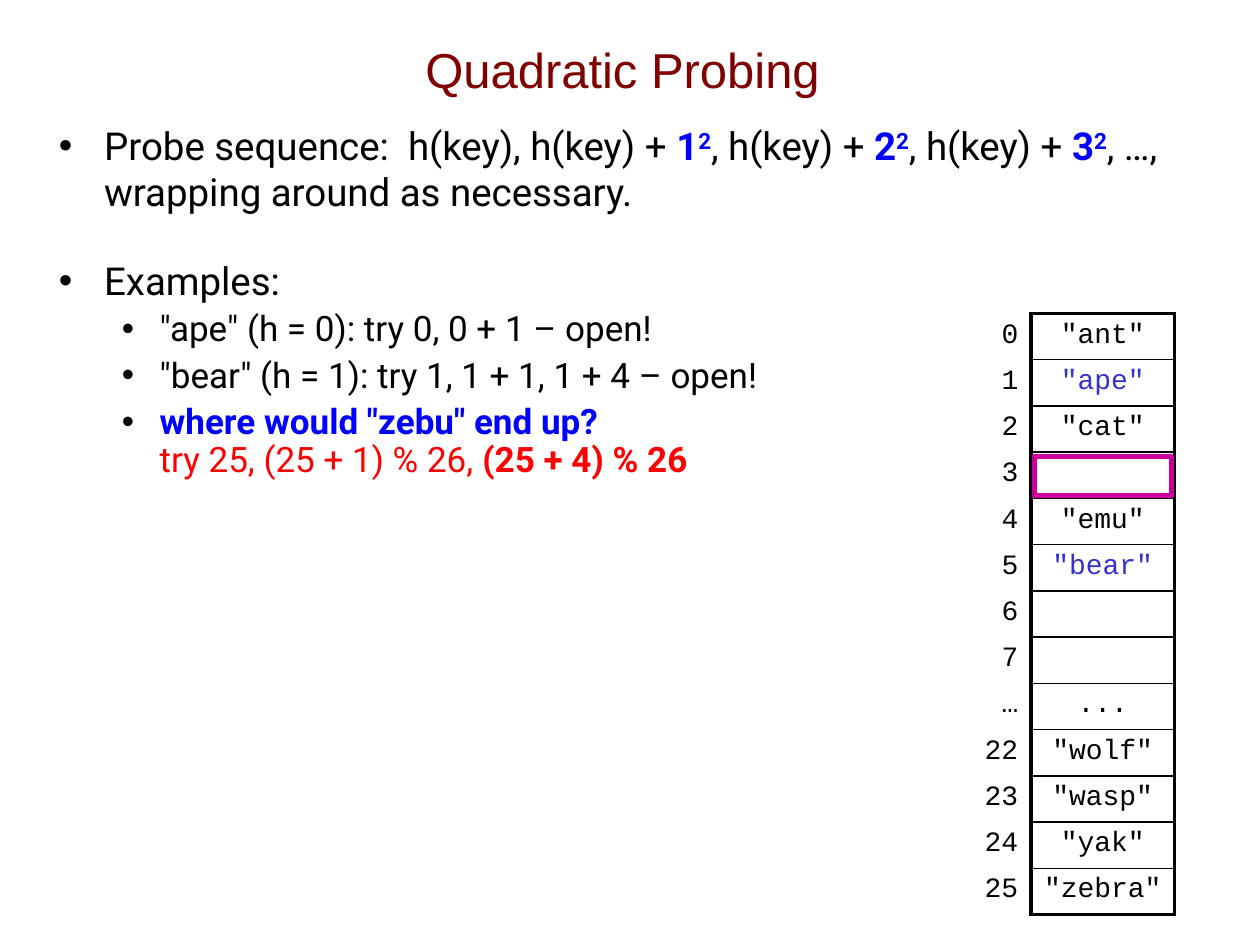
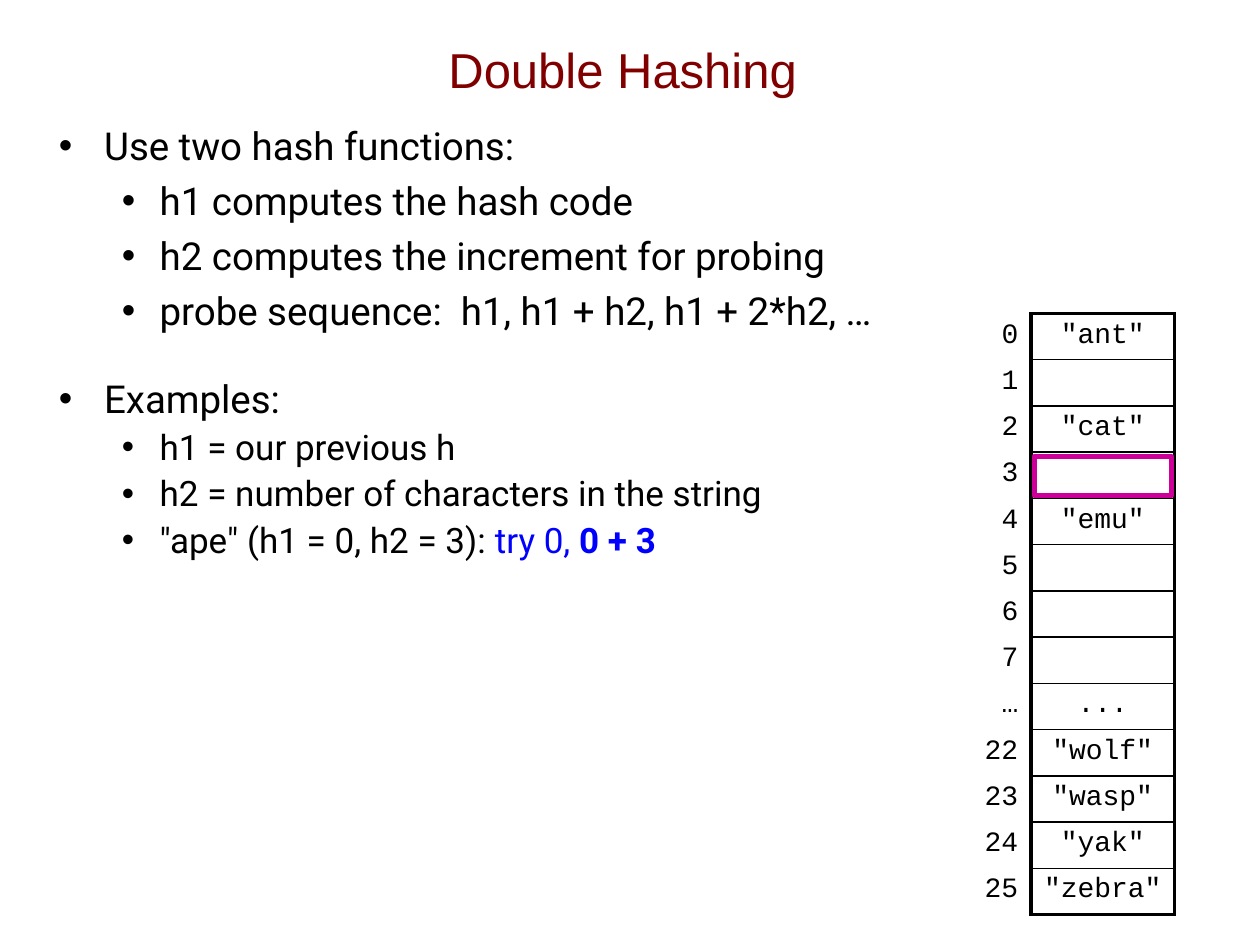
from lxml.etree import SubElement
from pptx import Presentation
from pptx.dml.color import RGBColor
from pptx.enum.shapes import MSO_SHAPE as Shape
from pptx.enum.text import MSO_ANCHOR as Anchor, PP_ALIGN as Align
from pptx.oxml import parse_xml
from pptx.oxml.ns import nsdecls, qn
from pptx.util import Cm, Pt

COLORS = {
    "title": "800000",
    "text": "000000",
    "key": "0000FF",
    "answer": "FF0000",
    "inserted": "3333CC",
    "highlight": "CC0099",
}
TITLE_FONT, BODY_FONT, CODE_FONT = "Arial", "Roboto", "Courier New"
TABLE_LEFT, TABLE_TOP, TABLE_HEIGHT = Cm(17.86), Cm(6.32), Cm(12.12)
INDEX_WIDTH, WORD_WIDTH = Cm(2.92), Cm(2.9)
THICK, THIN = Pt(2.25), Pt(1)
INDICES = ["0", "1", "2", "3", "4", "5", "6", "7", "…", "22", "23", "24", "25"]
WORDS = {
    "0": '"ant"', "2": '"cat"', "4": '"emu"', "…": "...",
    "22": '"wolf"', "23": '"wasp"', "24": '"yak"', "25": '"zebra"',
}
INDENTS = [(Cm(0.91), Cm(0.91)), (Cm(2.03), Cm(0.76))]

KEY = {"color": "key", "bold": True}
SQUARE = {**KEY, "superscript": True}
TOPIC = {"level": 0, "size": 22}
NEXT_TOPIC = {**TOPIC, "before": 24}
POINT = {"level": 1, "size": 22, "before": 5}
EXAMPLE = {"level": 1, "size": 20, "before": 5, "line_spacing": 0.9}

PROBING_TEXT = [
    (TOPIC, [
        ("Probe sequence:  h(key), h(key) + ", {}), ("1", KEY), ("2", SQUARE),
        (", h(key) + ", {}), ("2", KEY), ("2", SQUARE),
        (", h(key) + ", {}), ("3", KEY), ("2", SQUARE),
        (", …,\nwrapping around as necessary.", {}),
    ]),
    (NEXT_TOPIC, [("Examples:", {})]),
    (EXAMPLE, [('"ape" (h = 0): try 0, 0 + 1 – open!', {})]),
    (EXAMPLE, [('"bear" (h = 1): try 1, 1 + 1, 1 + 4 – open!', {})]),
    (EXAMPLE, [
        ('where would "zebu" end up?\n', KEY),
        ("try 25, (25 + 1) % 26, ", {"color": "answer"}),
        ("(25 + 4) % 26", {"color": "answer", "bold": True}),
    ]),
]
HASHING_TEXT = [
    (TOPIC, [("Use two hash functions:", {})]),
    (POINT, [("h1 computes the hash code", {})]),
    (POINT, [("h2 computes the increment for probing", {})]),
    (POINT, [("probe sequence:  h1, h1 + h2, h1 + 2*h2, …", {})]),
    (NEXT_TOPIC, [("Examples:", {})]),
    (EXAMPLE, [("h1 = our previous h", {})]),
    (EXAMPLE, [("h2 = number of characters in the string", {})]),
    (EXAMPLE, [
        ('"ape" (h1 = 0, h2 = 3): ', {}),
        ("try 0, ", {"color": "key"}),
        ("0 + 3", KEY),
    ]),
]


def add_text(paragraph, text, font=BODY_FONT, size=22, color="text", bold=False,
             superscript=False, align=None):
    if align is not None:
        paragraph.alignment = align
    for number, line in enumerate(text.split("\n")):
        if number:
            paragraph.add_line_break()
        if not line:
            continue
        run = paragraph.add_run()
        run.text = line
        run.font.name = font
        run.font.size = Pt(size)
        run.font.bold = bold
        run.font.color.rgb = RGBColor.from_string(COLORS[color])
        if superscript:
            run._r.get_or_add_rPr().set("baseline", "30000")


def add_text_frame(slide, left, top, width, height, anchor=Anchor.TOP):
    frame = slide.shapes.add_textbox(left, top, width, height).text_frame
    frame.word_wrap = True
    frame.vertical_anchor = anchor
    return frame


def add_title(slide, title):
    frame = add_text_frame(slide, Cm(1.63), Cm(0.2), Cm(21.84), Cm(2.36), Anchor.MIDDLE)
    add_text(frame.paragraphs[0], title, font=TITLE_FONT, size=28, color="title",
             align=Align.CENTER)


def set_bullet(paragraph, level):
    margin, hanging = INDENTS[level]
    properties = paragraph._p.get_or_add_pPr()
    properties.set("marL", str(margin))
    properties.set("indent", str(-hanging))
    bullet_color = SubElement(properties, qn("a:buClr"))
    SubElement(bullet_color, qn("a:srgbClr"), val=COLORS["text"])
    SubElement(properties, qn("a:buFont"), typeface="Arial")
    SubElement(properties, qn("a:buChar"), char="•")


def add_bullets(slide, width, bullets):
    frame = add_text_frame(slide, Cm(0.94), Cm(2.34), width, Cm(15.6))
    for number, (style, runs) in enumerate(bullets):
        paragraph = frame.add_paragraph() if number else frame.paragraphs[0]
        paragraph.level = style["level"]
        set_bullet(paragraph, style["level"])
        if "before" in style:
            paragraph.space_before = Pt(style["before"])
        if "line_spacing" in style:
            paragraph.line_spacing = style["line_spacing"]
        for text, run_format in runs:
            add_text(paragraph, text, size=style["size"], **run_format)


def set_borders(cell, **widths):
    properties = cell._tc.get_or_add_tcPr()
    for position, side in enumerate("LRTB"):
        width = widths.get(side, 0)
        fill = "<a:noFill/>"
        if width:
            fill = f'<a:solidFill><a:srgbClr val="{COLORS["text"]}"/></a:solidFill>'
        border = parse_xml(f'<a:ln{side} {nsdecls("a")} w="{width}">{fill}</a:ln{side}>')
        properties.insert(position, border)


def fill_cell(cell, text, align, color="text"):
    cell.fill.background()
    cell.margin_bottom = 0
    add_text(cell.text_frame.paragraphs[0], text, font=CODE_FONT, size=16, color=color,
             align=align)


def add_hash_table(slide, inserted):
    count = len(INDICES)
    table = slide.shapes.add_table(count, 2, TABLE_LEFT, TABLE_TOP,
                                   INDEX_WIDTH + WORD_WIDTH, TABLE_HEIGHT).table
    table.first_row = table.horz_banding = False
    table.columns[0].width, table.columns[1].width = INDEX_WIDTH, WORD_WIDTH
    words = {**WORDS, **inserted}
    for row, index in enumerate(INDICES):
        table.rows[row].height = TABLE_HEIGHT // count
        index_cell, word_cell = table.cell(row, 0), table.cell(row, 1)
        fill_cell(index_cell, index, Align.RIGHT)
        fill_cell(word_cell, words.get(index, ""), Align.CENTER,
                  "inserted" if index in inserted else "text")
        set_borders(index_cell, R=THICK)
        set_borders(word_cell, L=THICK, R=THICK, T=THIN if row else THICK,
                    B=THIN if row < count - 1 else THICK)


def add_slot_highlight(slide):
    shape = slide.shapes.add_shape(Shape.RECTANGLE, Cm(20.85), Cm(9.2), Cm(2.77), Cm(0.79))
    shape.shadow.inherit = False
    shape.fill.background()
    shape.line.color.rgb = RGBColor.from_string(COLORS["highlight"])
    shape.line.width = Pt(3)


def add_hashing_slide(presentation, title, bullets, body_width, inserted):
    slide = presentation.slides.add_slide(presentation.slide_layouts[6])
    add_title(slide, title)
    add_bullets(slide, body_width, bullets)
    add_hash_table(slide, inserted)
    add_slot_highlight(slide)


def main():
    presentation = Presentation()
    presentation.slide_width, presentation.slide_height = Cm(25.4), Cm(19.05)
    add_hashing_slide(presentation, "Quadratic Probing", PROBING_TEXT, Cm(24.1),
                      {"1": '"ape"', "5": '"bear"'})
    add_hashing_slide(presentation, "Double Hashing", HASHING_TEXT, Cm(23.5), {})
    presentation.save("out.pptx")


if __name__ == "__main__":
    main()
